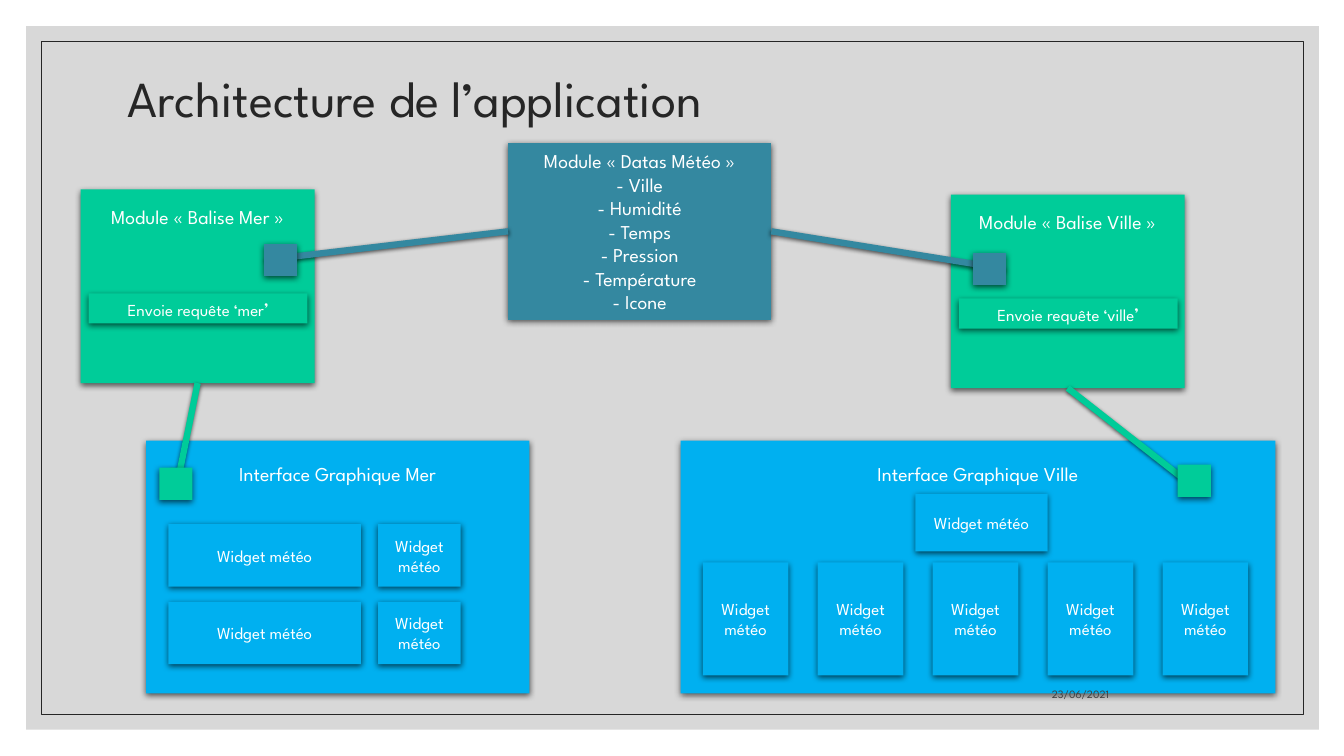
from collections import namedtuple

from lxml.etree import SubElement
from pptx import Presentation
from pptx.dml.color import RGBColor
from pptx.enum.shapes import MSO_CONNECTOR, MSO_SHAPE
from pptx.enum.text import MSO_ANCHOR, PP_ALIGN
from pptx.oxml.ns import qn
from pptx.util import Inches, Pt

Box = namedtuple("Box", "left top width height")

COLOURS = {
    "panel": "BFBFBF", "frame": "262626", "title": "262626", "date": "404040",
    "interface": "00B0F0", "module": "00CC99", "data": "3488A0",
    "data_end": "3188A1", "text": "FFFFFF",
}
FONT = "League Spartan"
TOP, LEFT, BOTTOM, RIGHT = 0, 1, 2, 3
MARKER_WIDTH, MARKER_HEIGHT = 0.33, 0.32


def colour(name):
    return RGBColor.from_string(COLOURS[name])


def inside(box, left, top, width, height):
    """Return a box whose offset is measured from the corner of another box."""
    return Box(box.left + left, box.top + top, width, height)


def apply(target, formats):
    for name, value in formats.items():
        setattr(target, name, value)


def cast_shadow(shape, blur, distance):
    """Give the shape a soft black shadow straight below it."""
    effects = SubElement(shape._element.spPr, qn("a:effectLst"))
    shadow = SubElement(effects, qn("a:outerShdw"), blurRad=str(Pt(blur)),
                        dist=str(Pt(distance)), dir="5400000",
                        algn="ctr", rotWithShape="0")
    black = SubElement(shadow, qn("a:srgbClr"), val="000000")
    SubElement(black, qn("a:alpha"), val="63000")


def write(shape, paragraphs, ink="text", align=PP_ALIGN.CENTER,
          anchor=MSO_ANCHOR.MIDDLE, **frame_formats):
    """Fill the shape with paragraphs, each a list of (text, size) spans."""
    frame = shape.text_frame
    apply(frame, {"word_wrap": True, "vertical_anchor": anchor, **frame_formats})
    for index, spans in enumerate(paragraphs):
        para = frame.add_paragraph() if index else frame.paragraphs[0]
        para.alignment = align
        for text, size in spans:
            span = para.add_run()
            span.text = text
            apply(span.font, {"name": FONT, "size": Pt(size)})
            span.font.color.rgb = colour(ink)


def add_rectangle(page, box):
    return page.shapes.add_shape(MSO_SHAPE.RECTANGLE, *map(Inches, box))


def add_block(page, box, fill, paragraphs=(), **text_formats):
    """Draw a shadowed rectangle; the data colour is a slight gradient."""
    block = add_rectangle(page, box)
    if fill == "data":
        block.fill.gradient()
        block.fill.gradient_angle = 270
        for stop, name in zip(block.fill.gradient_stops, ("data", "data_end")):
            stop.color.rgb = colour(name)
    else:
        block.fill.solid()
        block.fill.fore_color.rgb = colour(fill)
    block.line.fill.background()
    cast_shadow(block, 4.5, 1.5)
    if paragraphs:
        write(block, paragraphs, **text_formats)
    return block


def add_background(page, box):
    panel = add_rectangle(page, box)
    panel.shadow.inherit = False
    panel.fill.solid()
    panel.fill.fore_color.rgb = colour("panel")
    tint = panel._element.spPr.find(qn("a:solidFill"))[0]
    SubElement(tint, qn("a:alpha"), val="60000")
    panel.line.fill.background()

    frame = add_rectangle(page, inside(box, 0.15, 0.15, box.width - 0.3, box.height - 0.3))
    frame.shadow.inherit = False
    frame.fill.background()
    frame.line.color.rgb = colour("frame")
    frame.line.width = Pt(0.5)


def add_label(page, box, text, size, **text_formats):
    label = page.shapes.add_textbox(*map(Inches, box))
    write(label, [[(text, size)]], **text_formats)
    return label


def add_interface(page, box, name, widgets):
    add_block(page, box, "interface", [[(name, 14)]],
              anchor=MSO_ANCHOR.TOP, margin_top=Inches(0.21))
    for widget in widgets:
        add_block(page, inside(box, *widget), "interface", [[("Widget météo", 12)]])


def add_module(page, box, name, request):
    module = add_block(page, box, "module", [[(f"Module « {name} »", 14)]],
                       anchor=MSO_ANCHOR.TOP, margin_top=Inches(0.15))
    add_block(page, inside(box, 0.08, 1.03, 2.17, 0.3), "module",
              [[(f"Envoie requête ‘{request}", 12), ("’", 14)]])
    return module


def add_data_module(page, box):
    fields = ("Ville", "Humidité", "Temps", "Pression", "Température", "Icone")
    lines = ["Module « Datas Météo »"] + [f"- {field}" for field in fields]
    return add_block(page, box, "data", [[(line, 14)] for line in lines])


def add_link(page, source, source_side, corner, ink, end=None, end_side=None):
    """Run an arrow from a block to a marker, at a point or a side of it."""
    x, y = end or corner
    link = page.shapes.add_connector(MSO_CONNECTOR.STRAIGHT, 0, 0, Inches(x), Inches(y))
    link.begin_connect(source, source_side)
    link.line.color.rgb = colour(ink)
    link.line.width = Pt(4.5)
    SubElement(link.line._get_or_add_ln(), qn("a:tailEnd"), type="triangle")
    cast_shadow(link, 3, 1)
    marker = add_block(page, Box(*corner, MARKER_WIDTH, MARKER_HEIGHT), ink)
    if end_side is not None:
        link.end_connect(marker, end_side)


def add_architecture_slide(deck):
    page = deck.slides.add_slide(deck.slide_layouts[6])
    add_background(page, Box(0.26, 0.26, 12.82, 6.98))

    city_widgets = [(2.33, 0.53, 1.31, 0.57)]
    city_widgets += [(0.22 + 1.14 * column, 1.21, 0.85, 1.12) for column in range(5)]
    sea_widgets = [(left, top, width, 0.62) for top in (0.83, 1.6)
                   for left, width in ((0.22, 1.91), (2.3, 0.82))]
    add_interface(page, Box(6.75, 4.37, 5.9, 2.51), "Interface Graphique Ville", city_widgets)
    add_interface(page, Box(1.45, 4.37, 3.8, 2.51), "Interface Graphique Mer", sea_widgets)

    sea = add_module(page, Box(0.8, 1.88, 2.32, 1.92), "Balise Mer", "mer")
    title = add_label(page, Box(1.17, 0.7, 11, 0.61), "Architecture de l’application",
                      36, ink="title", align=PP_ALIGN.LEFT)
    title.text_frame.paragraphs[0].line_spacing = 0.9
    city = add_module(page, Box(9.43, 1.93, 2.32, 1.92), "Balise Ville", "ville")
    add_label(page, Box(7.94, 6.6, 3.16, 0.4), "23/06/2021", 8, ink="date",
              align=PP_ALIGN.RIGHT, anchor=MSO_ANCHOR.BOTTOM)
    data = add_data_module(page, Box(5.04, 1.42, 2.61, 1.75))

    add_link(page, city, BOTTOM, (11.68, 4.61), "module", end=(11.89, 4.87))
    add_link(page, data, LEFT, (2.62, 2.42), "data", end_side=LEFT)
    add_link(page, sea, BOTTOM, (1.58, 4.64), "module", end=(1.75, 4.84))
    add_link(page, data, RIGHT, (9.65, 2.51), "data", end_side=RIGHT)


def main():
    deck = Presentation()
    apply(deck, {"slide_width": Inches(13.33), "slide_height": Inches(7.5)})
    add_architecture_slide(deck)
    deck.save("out.pptx")


if __name__ == "__main__":
    main()
